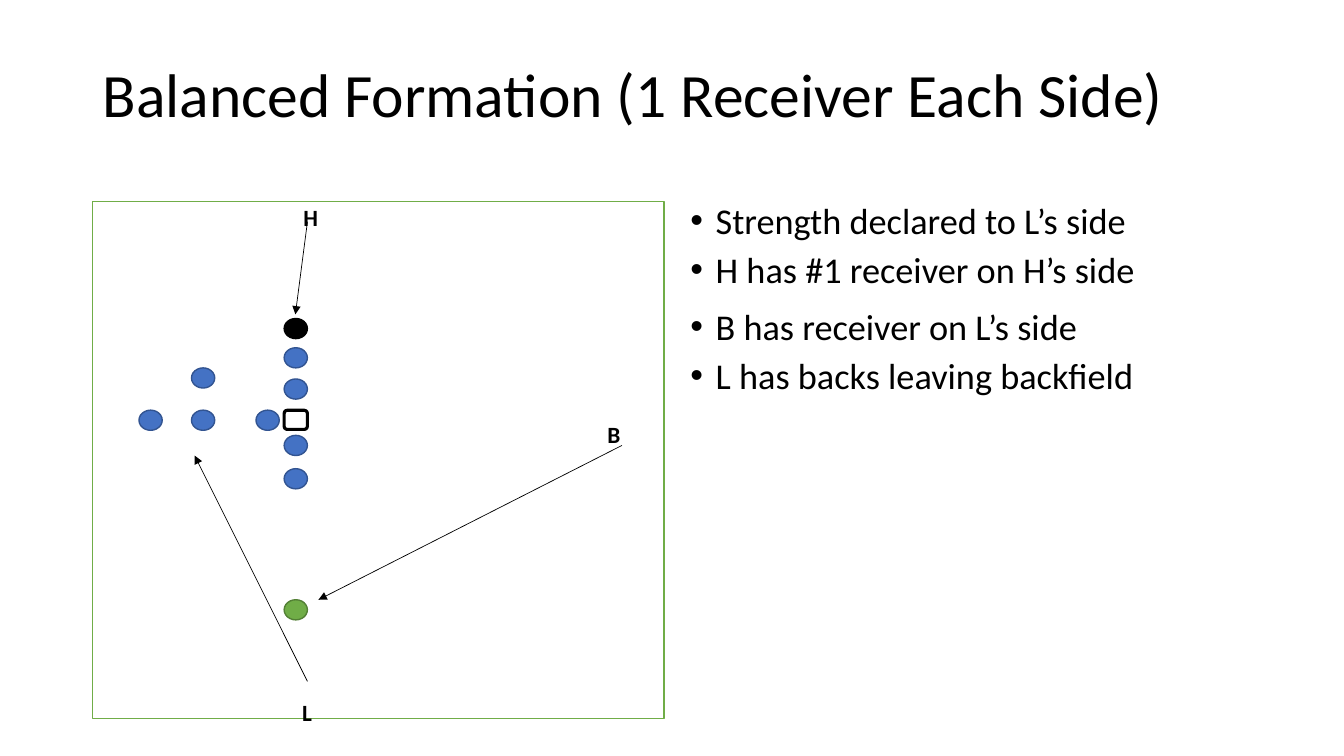
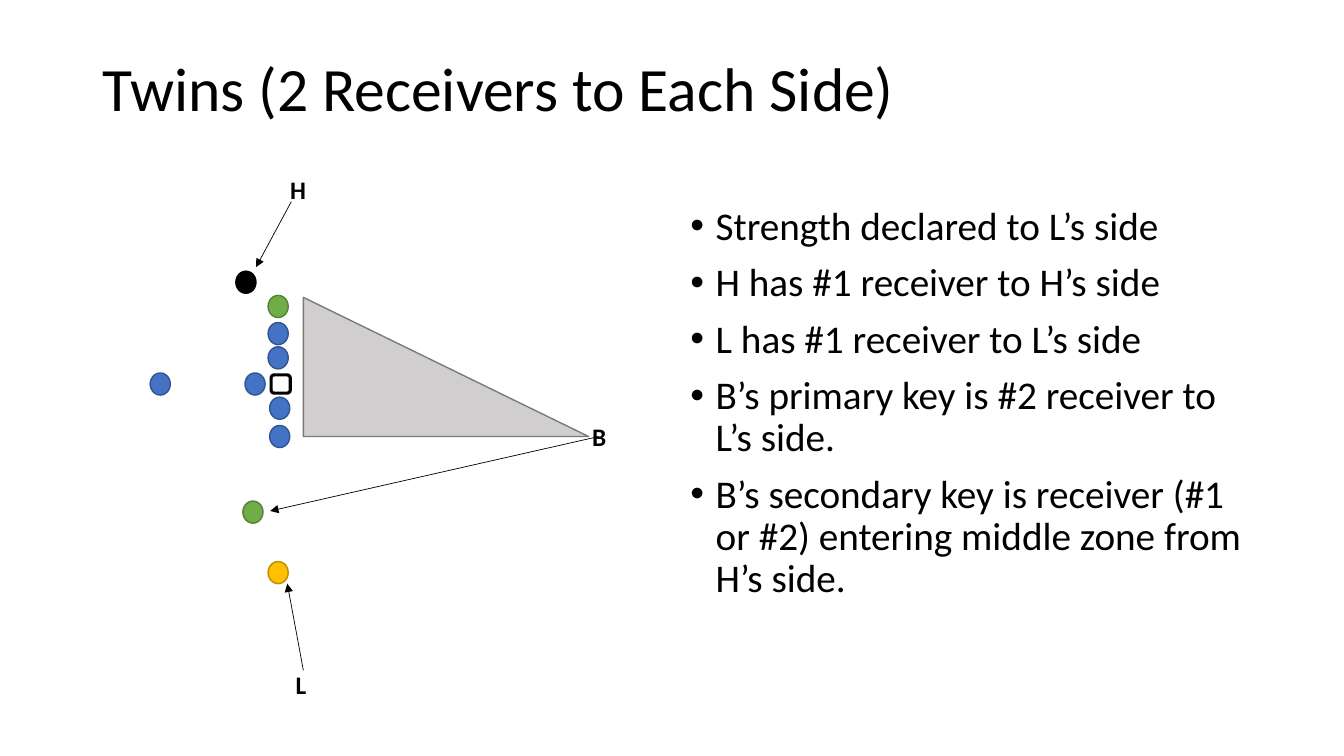
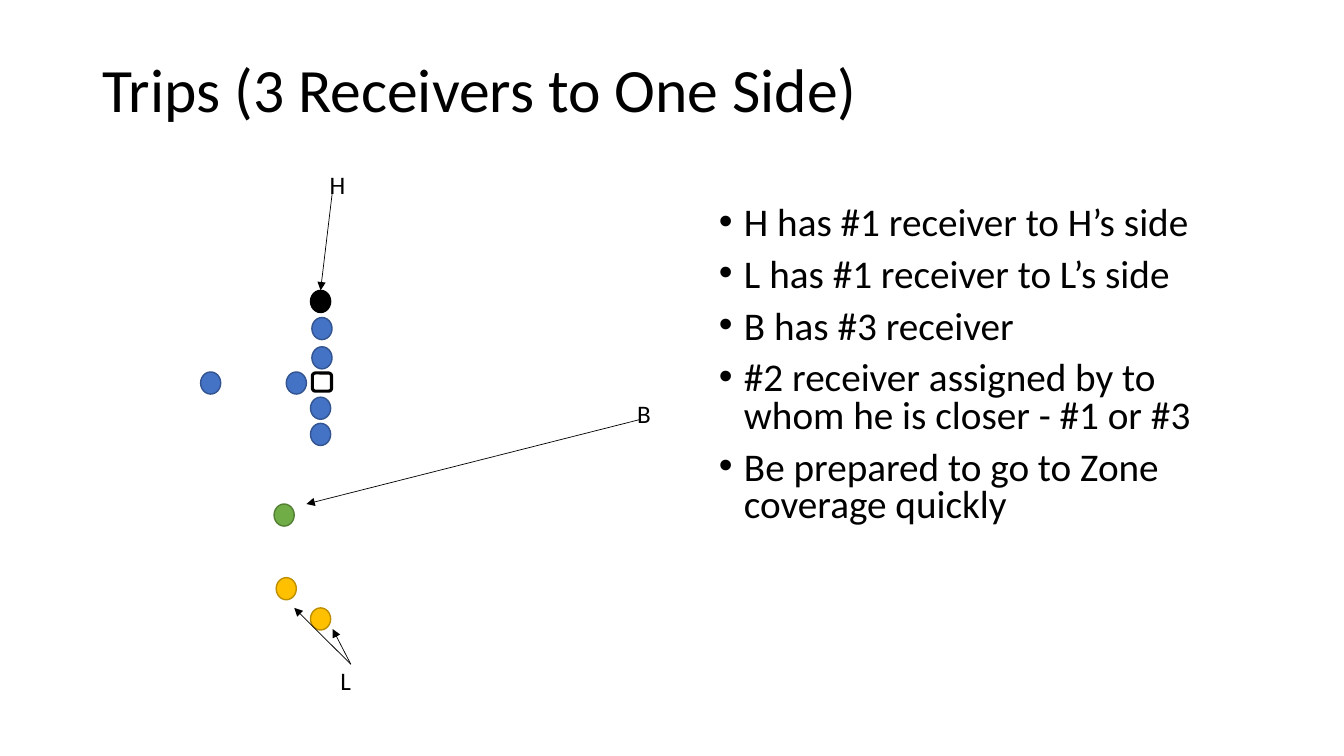
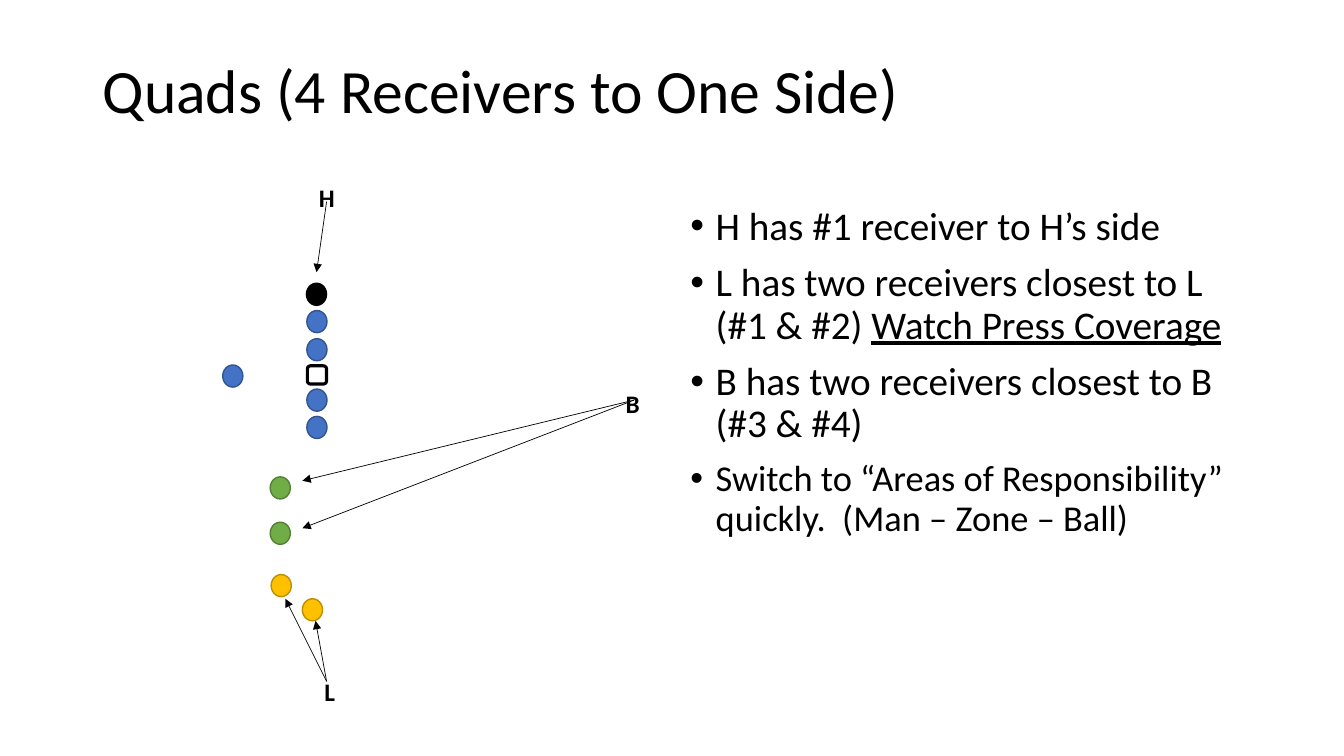
from dataclasses import dataclass

from lxml.etree import SubElement
from pptx import Presentation
from pptx.dml.color import RGBColor
from pptx.enum.shapes import MSO_CONNECTOR as Connector, MSO_SHAPE as Preset
from pptx.enum.text import MSO_ANCHOR as Anchor, MSO_AUTO_SIZE as AutoSize, PP_ALIGN as Align
from pptx.oxml.ns import qn
from pptx.util import Pt


# Shared look
@dataclass(frozen=True)
class Theme:
    font: str = "Calibri"
    title_size: float = 44
    body_size: float = 28
    label_size: float = 18
    black: str = "000000"
    white: str = "FFFFFF"
    frame: str = "70AD47"
    zone: tuple = ("D0CECE", "7A7A7A")
    # Fill and outline of a player, by role
    team: tuple = ("4472C4", "325491")
    h_key: tuple = ("000000", "000000")
    b_key: tuple = ("70AD47", "538035")
    l_key: tuple = ("FFC000", "BD8E00")


THEME = Theme()
LEFT = 66.2
INDENT = 18


# What differs from one formation to the next
@dataclass
class Formation:
    title: str
    title_height: float
    bullets: list
    labels: dict      # letter: centre
    players: dict     # role: centres
    ball: tuple       # centre
    arrows: list      # start, end
    body: tuple = (486, 144, 408.2, 342.7)
    body_size: float = THEME.body_size
    line_spacing: float = 0.9
    label_size: float = THEME.label_size
    label_bold: bool = True
    player_size: tuple = (14.4, 15.8)
    ball_size: tuple = (13.7, 13)
    frame: tuple = ()
    zone: tuple = ()


@dataclass
class Bullet:
    text: str
    underlined: str = ""
    size: float = 0
    line_spacing: float = 0


def column(x, *heights):
    """Centres of players that stand on one vertical line."""
    return [(x, y) for y in heights]


FORMATIONS = [
    Formation(
        title="Balanced Formation (1 Receiver Each Side)",
        title_height=82,
        bullets=[
            Bullet("Strength declared to L’s side"),
            Bullet("H has #1 receiver on H’s side"),
            Bullet("B has receiver on L’s side", line_spacing=1),
            Bullet("L has backs leaving backfield"),
        ],
        body_size=25.9,
        line_spacing=0.8,
        labels={"H": (222, 155), "B": (438.5, 310.5), "L": (219.3, 508.5)},
        label_size=16.6,
        players={
            "team": column(211.3, 255.6, 277.9, 318.2, 342)
            + column(145.1, 270, 300.2) + [(107.6, 300.2), (191.2, 300.2)],
            "h_key": [(211.3, 234.7)],
            "b_key": [(211.3, 435.6)],
        },
        player_size=(16.6, 14.4),
        ball=(211.3, 299.9),
        ball_size=(16.6, 13.7),
        arrows=[
            ((219.6, 158.4), (211, 224.6)),
            ((444.2, 318.2), (227.5, 428.4)),
            ((219.6, 486.7), (139, 325.4)),
        ],
        frame=(LEFT, 144, 408.2, 369.4),
    ),
    Formation(
        title="Twins (2 Receivers to Each Side)",
        title_height=73.4,
        bullets=[
            Bullet("Strength declared to L’s side"),
            Bullet("H has #1 receiver to H’s side"),
            Bullet("L has #1 receiver to L’s side"),
            Bullet("B’s primary key is #2 receiver to L’s side."),
            Bullet("B’s secondary key is receiver (#1 or #2) entering middle zone from H’s side."),
        ],
        labels={"H": (213, 135), "B": (428, 312), "L": (215, 489)},
        players={
            "team": column(198.7, 238.3, 255.6) + column(199.8, 291.6, 311.8)
            + [(114.5, 274.3), (182.2, 274.3)],
            "h_key": [(175.7, 201.6)],
            "b_key": [(198.7, 218.9), (180.7, 365.8)],
            "l_key": [(198.7, 409)],
        },
        ball=(200.5, 274.3),
        arrows=[
            ((208.1, 144), (182.9, 190.8)),
            ((216.7, 478.8), (205.2, 416.9)),
            ((427.7, 311.8), (193, 365)),
        ],
        zone=(216.7, 212.4, 203.8, 99.4),
    ),
    Formation(
        title="Trips (3 Receivers to One Side)",
        title_height=74.9,
        bullets=[
            Bullet("H has #1 receiver to H’s side"),
            Bullet("L has #1 receiver to L’s side"),
            Bullet("B has #3 receiver"),
            Bullet("#2 receiver assigned by to whom he is closer - #1 or #3"),
            Bullet("Be prepared to go to Zone coverage quickly"),
        ],
        body=(506.2, 144, 398.9, 342.7),
        line_spacing=0.8,
        labels={"H": (241, 132), "B": (460, 295), "L": (247, 486)},
        label_bold=False,
        players={
            "team": column(230, 234.7, 255.6) + column(229, 291.6, 310.3)
            + [(150.5, 273.6), (211.7, 273.6)],
            "h_key": [(229, 215.3)],
            "b_key": [(203, 367.9)],
            "l_key": [(204.5, 420.5), (229, 442.1)],
        },
        ball=(230, 272.9),
        arrows=[
            ((237.6, 135.4), (229, 207.4)),
            ((250.6, 474.5), (237.6, 449.3)),
            ((457.9, 299.5), (218.9, 360)),
            ((250.6, 474.5), (210.2, 434.2)),
        ],
    ),
    Formation(
        title="Quads (4 Receivers to One Side)",
        title_height=76.3,
        bullets=[
            Bullet("H has #1 receiver to H’s side"),
            Bullet("L has two receivers closest to L (#1 & #2) ", underlined="Watch Press Coverage"),
            Bullet("B has two receivers closest to B (#3 & #4)"),
            Bullet("Switch to “Areas of Responsibility” quickly.  (Man – Zone – Ball)", size=26),
        ],
        labels={"H": (233.5, 141), "B": (452, 288.5), "L": (235.5, 494)},
        players={
            "team": column(226.4, 229.7, 249.8, 285.8, 305.3) + [(166.3, 268.6)],
            "h_key": [(226.1, 210.2)],
            "b_key": column(200.2, 348.5, 380.9),
            "l_key": [(200.9, 418.3), (223.2, 435.6)],
        },
        ball=(226.4, 267.8),
        arrows=[
            ((233.3, 144), (226.1, 194.4)),
            ((233.3, 486.7), (225.4, 443.5)),
            ((233.3, 486.7), (203.8, 427.7)),
            ((452.9, 285.8), (216, 343.4)),
            ((452.9, 285.8), (216, 377.3)),
        ],
    ),
]


# Helpers
def color(value):
    return RGBColor.from_string(value)


def points(values):
    return [Pt(value) for value in values]


def around(centre, size):
    """Box of the given size around a centre."""
    (x, y), (width, height) = centre, size
    return x - width / 2, y - height / 2, width, height


def place(shape, box):
    shape.left, shape.top, shape.width, shape.height = points(box)


def format_runs(paragraph, size, bold=False):
    for run in paragraph.runs:
        run.font.name = THEME.font
        run.font.size = Pt(size)
        run.font.bold = bold
        run.font.color.rgb = color(THEME.black)


# Title and list
def fill_title(slide, formation):
    title = slide.shapes.title
    place(title, (LEFT, 28.8, 828, formation.title_height))
    text_frame = title.text_frame
    text_frame.text = formation.title
    text_frame.auto_size = AutoSize.NONE
    text_frame.vertical_anchor = Anchor.MIDDLE
    paragraph = text_frame.paragraphs[0]
    paragraph.alignment = Align.LEFT
    paragraph.line_spacing = 0.9
    format_runs(paragraph, THEME.title_size)


def fill_bullets(slide, formation):
    body = slide.placeholders[1]
    place(body, formation.body)
    text_frame = body.text_frame
    text_frame.text = "\n".join(bullet.text for bullet in formation.bullets)
    text_frame.auto_size = AutoSize.NONE
    for paragraph, bullet in zip(text_frame.paragraphs, formation.bullets):
        if bullet.underlined:
            run = paragraph.add_run()
            run.text = bullet.underlined
            run.font.underline = True
        paragraph.line_spacing = bullet.line_spacing or formation.line_spacing
        paragraph.space_before = Pt(10)
        properties = paragraph._p.get_or_add_pPr()
        properties.set("marL", str(Pt(INDENT)))
        properties.set("indent", str(-Pt(INDENT)))
        format_runs(paragraph, bullet.size or formation.body_size)


# Diagram parts
def add_preset(slide, preset, box, fill, line, line_width=1):
    shape = slide.shapes.add_shape(preset, *points(box))
    shape.shadow.inherit = False
    shape.fill.solid()
    shape.fill.fore_color.rgb = color(fill)
    shape.line.color.rgb = color(line)
    shape.line.width = Pt(line_width)


def add_label(slide, letter, centre, size, bold):
    box = slide.shapes.add_textbox(*points(around(centre, (30, 24))))
    text_frame = box.text_frame
    text_frame.text = letter
    text_frame.word_wrap = True
    text_frame.vertical_anchor = Anchor.MIDDLE
    text_frame.margin_left = text_frame.margin_right = 0
    text_frame.margin_top = text_frame.margin_bottom = 0
    paragraph = text_frame.paragraphs[0]
    paragraph.alignment = Align.CENTER
    format_runs(paragraph, size, bold)


def add_arrow(slide, start, end):
    arrow = slide.shapes.add_connector(Connector.STRAIGHT, *points(start + end))
    arrow.line.color.rgb = color(THEME.black)
    arrow.line.width = Pt(0.5)
    SubElement(arrow.line._get_or_add_ln(), qn("a:tailEnd"), type="triangle")
    SubElement(arrow._element.spPr, qn("a:effectLst"))


def draw_formation(slide, formation):
    if formation.frame:
        add_preset(slide, Preset.RECTANGLE, formation.frame, THEME.white, THEME.frame)
    for letter, centre in formation.labels.items():
        add_label(slide, letter, centre, formation.label_size, formation.label_bold)
    ball_box = around(formation.ball, formation.ball_size)
    add_preset(slide, Preset.ROUNDED_RECTANGLE, ball_box, THEME.white, THEME.black, 2.25)
    for role, centres in formation.players.items():
        for centre in centres:
            player_box = around(centre, formation.player_size)
            add_preset(slide, Preset.OVAL, player_box, *getattr(THEME, role))
    for start, end in formation.arrows:
        add_arrow(slide, start, end)
    if formation.zone:
        add_preset(slide, Preset.RIGHT_TRIANGLE, formation.zone, *THEME.zone)


def main():
    presentation = Presentation()
    presentation.slide_width, presentation.slide_height = Pt(960), Pt(540)
    layout = presentation.slide_layouts.get_by_name("Title and Content")
    for formation in FORMATIONS:
        slide = presentation.slides.add_slide(layout)
        fill_title(slide, formation)
        fill_bullets(slide, formation)
        draw_formation(slide, formation)
    presentation.save("out.pptx")


if __name__ == "__main__":
    main()
